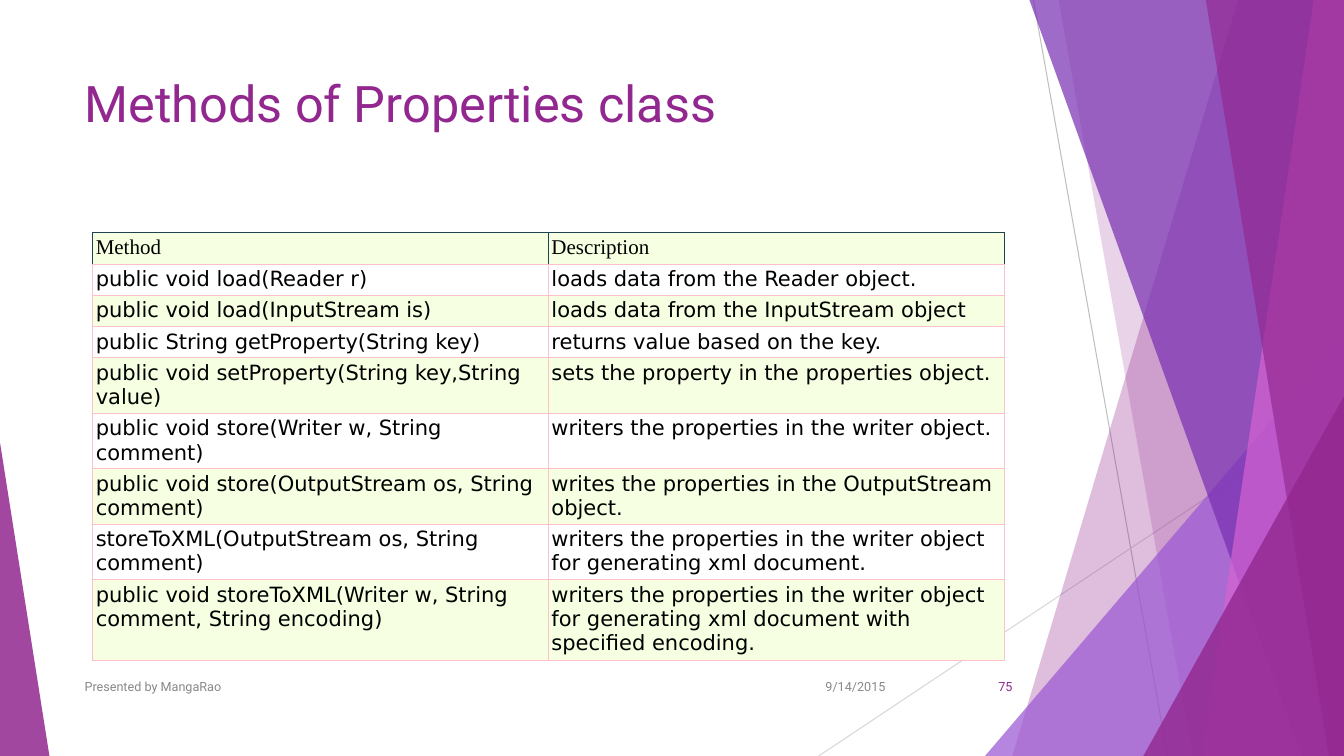
from typing import NamedTuple

from pptx import Presentation
from pptx.dml.color import RGBColor
from pptx.enum.shapes import MSO_CONNECTOR, MSO_SHAPE
from pptx.enum.text import MSO_ANCHOR, PP_ALIGN
from pptx.oxml.ns import qn
from pptx.util import Inches, Pt
from lxml.etree import SubElement

COLORS = {
    "plum": "92278F",
    "lavender": "9B57D3",
    "violet": "762EB1",
    "orchid": "D663D2",
    "gray": "888888",
    "rule": "BFBFBF",
    "pale_rule": "D8D8D8",
    "navy": "204352",
    "pink": "FFC0CB",
    "lime": "F6FFE1",
    "white": "FFFFFF",
    "black": "000000",
}
PAGE_WIDTH, PAGE_HEIGHT = 13.33, 7.5


class Ray(NamedTuple):
    start: tuple[float, float]
    end: tuple[float, float]
    color: str


class Band(NamedTuple):
    """A panel from a slanted left edge to the right side of the page."""
    top_x: float
    bottom_x: float
    color: str
    opacity: int


class Triangle(NamedTuple):
    left: float
    top: float
    width: float
    apex: float
    color: str
    opacity: int


class Footer(NamedTuple):
    text: str
    left: float
    width: float
    align: PP_ALIGN
    color: str


RAYS = [
    Ray((10.25, 0), (11.58, 7.5), "rule"),
    Ray((13.33, 4.03), (8.12, 7.5), "pale_rule"),
]
DECORATIONS = [
    Band(12.28, 10.04, "plum", 30),
    Band(10.5, 11.83, "plum", 20),
    Triangle(9.77, 3.33, 3.56, 1, "lavender", 72),
    Band(10.21, 12.91, "violet", 70),
    Band(13.03, 11.92, "orchid", 70),
    Band(11.96, 13.18, "plum", 65),
    Triangle(11.34, 3.93, 1.99, 1, "plum", 80),
    Triangle(0, 4.39, 0.49, 0, "plum", 85),
]
FOOTERS = [
    Footer("9/14/2015", 7.88, 1, PP_ALIGN.RIGHT, "gray"),
    Footer("Presented by MangaRao", 0.74, 6.89, PP_ALIGN.LEFT, "gray"),
    Footer("75", 9.39, 0.75, PP_ALIGN.RIGHT, "plum"),
]
METHODS = [
    ("Method", "Description"),
    ("public void load(Reader r)", "loads data from the Reader object."),
    ("public void load(InputStream is)", "loads data from the InputStream object"),
    ("public String getProperty(String key)", "returns value based on the key."),
    ("public void setProperty(String key,String value)",
     "sets the property in the properties object."),
    ("public void store(Writer w, String comment)",
     "writers the properties in the writer object."),
    ("public void store(OutputStream os, String comment)",
     "writes the properties in the OutputStream object."),
    ("storeToXML(OutputStream os, String comment)",
     "writers the properties in the writer object for generating xml document."),
    ("public void storeToXML(Writer w, String comment, String encoding)",
     "writers the properties in the writer object for generating xml document "
     "with specified encoding."),
]
ROW_HEIGHTS = [0.31] * 4 + [0.55] * 4 + [0.8]
COLUMN_WIDTH = 4.52


def rgb(color: str) -> RGBColor:
    return RGBColor.from_string(COLORS[color])


def write(frame, text: str, *, size: float, color: str, font: str = "Roboto",
          align: PP_ALIGN = PP_ALIGN.LEFT) -> None:
    para = frame.paragraphs[0]
    para.alignment = align
    span = para.add_run()
    span.text = text
    span.font.size = Pt(size)
    span.font.name = font
    span.font.bold = False
    span.font.color.rgb = rgb(color)


def add_ray(page, ray: Ray) -> None:
    line = page.shapes.add_connector(
        MSO_CONNECTOR.STRAIGHT, *map(Inches, ray.start + ray.end))
    line.line.color.rgb = rgb(ray.color)
    line.line.width = Pt(0.75)
    SubElement(line._element.spPr, qn("a:effectLst"))


def add_decoration(page, item: Band | Triangle) -> None:
    if isinstance(item, Band):
        corners = [(item.top_x, 0), (PAGE_WIDTH, 0), (PAGE_WIDTH, PAGE_HEIGHT),
                   (item.bottom_x, PAGE_HEIGHT)]
        start, *others = [(Inches(x), Inches(y)) for x, y in corners]
        builder = page.shapes.build_freeform(*start)
        builder.add_line_segments(others, close=True)
        shape = builder.convert_to_shape()
    else:
        shape = page.shapes.add_shape(
            MSO_SHAPE.ISOSCELES_TRIANGLE, Inches(item.left), Inches(item.top),
            Inches(item.width), Inches(PAGE_HEIGHT - item.top))
        shape.adjustments[0] = item.apex
    shape.shadow.inherit = False
    shape.line.fill.background()
    shape.fill.solid()
    shape.fill.fore_color.rgb = rgb(item.color)
    color_node = shape._element.spPr.find(qn("a:solidFill")).find(qn("a:srgbClr"))
    SubElement(color_node, qn("a:alpha"), val=str(item.opacity * 1000))


def add_title(page, text: str) -> None:
    title = page.shapes.title
    title.left, title.top = Inches(0.74), Inches(0.67)
    title.width, title.height = Inches(9.4), Inches(1.44)
    title.text_frame.vertical_anchor = MSO_ANCHOR.TOP
    title.text_frame.word_wrap = True
    write(title.text_frame, text, size=36, color="plum")


def set_borders(cell, sides: dict[str, str]) -> None:
    properties = cell._tc.get_or_add_tcPr()
    for side, color in sides.items():
        line = SubElement(properties, qn(f"a:ln{side}"), w=str(Pt(0.75)))
        fill = SubElement(line, qn("a:solidFill"))
        SubElement(fill, qn("a:srgbClr"), val=COLORS[color])


def add_methods_table(page) -> None:
    table = page.shapes.add_table(
        len(METHODS), 2, Inches(0.92), Inches(2.31),
        Inches(2 * COLUMN_WIDTH), Inches(sum(ROW_HEIGHTS))).table
    for column in table.columns:
        column.width = Inches(COLUMN_WIDTH)
    for index, (texts, height) in enumerate(zip(METHODS, ROW_HEIGHTS)):
        row = table.rows[index]
        row.height = Inches(height)
        edge = "pink" if index else "navy"
        font = "DejaVu Sans" if index else "Times New Roman"
        for cell, text in zip(row.cells, texts):
            cell.margin_left = cell.margin_right = Inches(0.03)
            cell.margin_top = cell.margin_bottom = Inches(0.03)
            set_borders(cell, {"L": edge, "R": edge, "T": edge, "B": "pink"})
            cell.fill.solid()
            cell.fill.fore_color.rgb = rgb("white" if index % 2 else "lime")
            write(cell.text_frame, text, size=15, color="black", font=font)


def add_footer(page, footer: Footer) -> None:
    box = page.shapes.add_textbox(
        Inches(footer.left), Inches(6.61), Inches(footer.width), Inches(0.4))
    box.text_frame.word_wrap = True
    box.text_frame.vertical_anchor = MSO_ANCHOR.MIDDLE
    write(box.text_frame, footer.text, size=9, color=footer.color, align=footer.align)


def main() -> None:
    deck = Presentation()
    deck.slide_width, deck.slide_height = Inches(PAGE_WIDTH), Inches(PAGE_HEIGHT)
    page = deck.slides.add_slide(deck.slide_layouts.get_by_name("Title Only"))
    for ray in RAYS:
        add_ray(page, ray)
    for item in DECORATIONS:
        add_decoration(page, item)
    add_title(page, "Methods of Properties class")
    add_methods_table(page)
    for footer in FOOTERS:
        add_footer(page, footer)
    deck.save("out.pptx")


if __name__ == "__main__":
    main()
